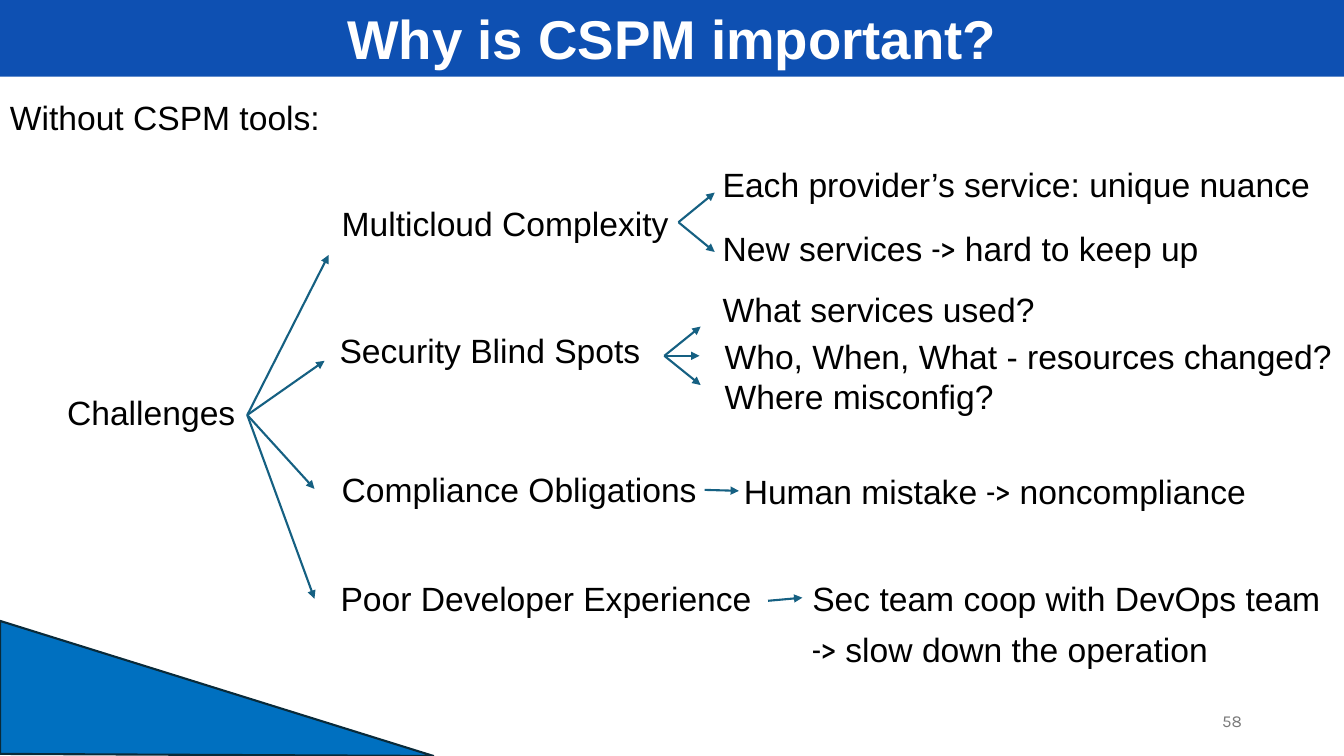
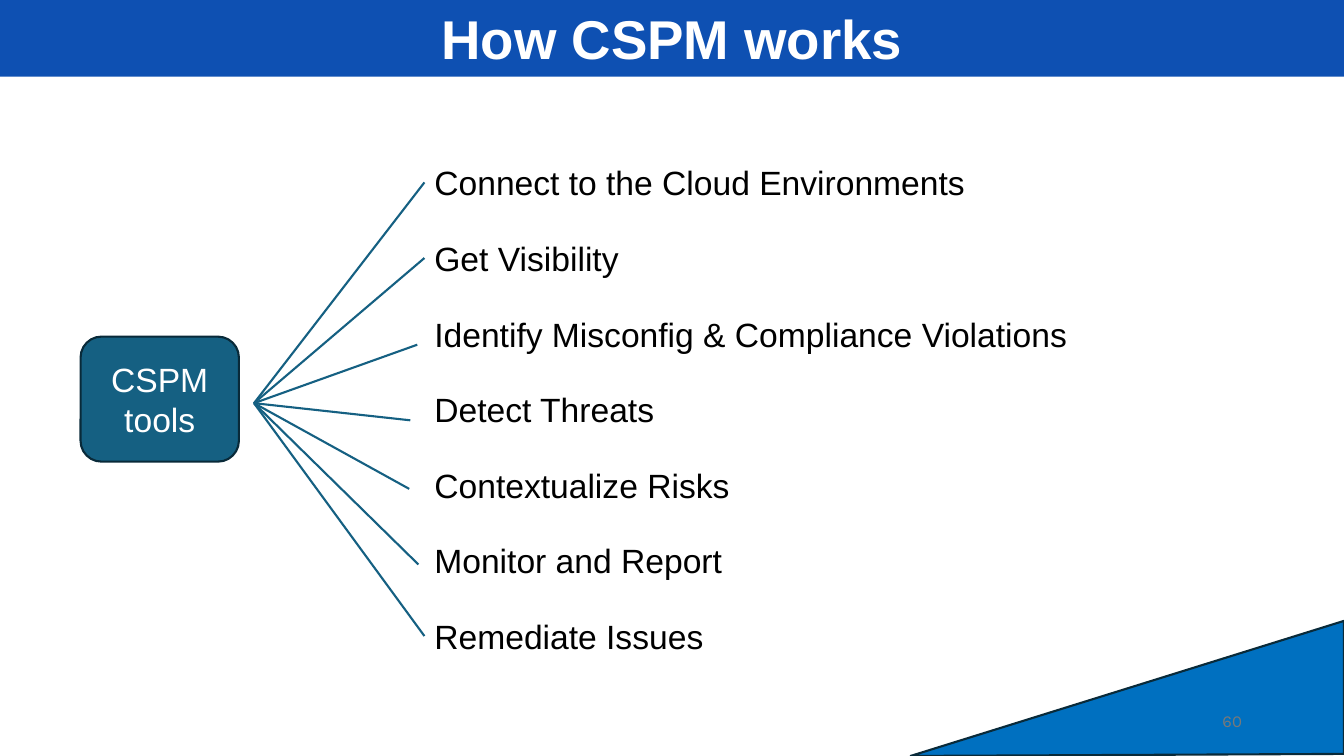
from itertools import cycle

from lxml.etree import SubElement
from pptx import Presentation
from pptx.dml.color import RGBColor
from pptx.enum.shapes import MSO_CONNECTOR, MSO_SHAPE
from pptx.enum.text import MSO_ANCHOR, PP_ALIGN
from pptx.oxml.ns import qn
from pptx.util import Inches, Pt

BAND_BLUE = RGBColor(0x0E, 0x50, 0xB2)
WEDGE_BLUE = RGBColor(0x00, 0x70, 0xC0)
TEAL = RGBColor(0x15, 0x60, 0x82)
DARK_TEAL = RGBColor(0x09, 0x2A, 0x39)
BLACK = RGBColor(0x00, 0x00, 0x00)
WHITE = RGBColor(0xFF, 0xFF, 0xFF)
GRAY = RGBColor(0x79, 0x79, 0x79)
ARROW_SIGN = "->"
LINE_WIDTH = Pt(1.5)
LABEL_HEIGHT = 6.67

deck = Presentation()
deck.slide_width = Inches(13.33)
deck.slide_height = Inches(7.5)
COLUMN = deck.slide_width / 100
ROW = deck.slide_height / 100


def grid(*shares):
    return [round(share * unit) for share, unit in zip(shares, cycle((COLUMN, ROW)))]


def write(box, runs, size=24, color=BLACK, align=PP_ALIGN.LEFT,
          anchor=MSO_ANCHOR.TOP, face="Arial", bold=False):
    frame = box.text_frame
    frame.word_wrap = True
    frame.vertical_anchor = anchor
    para = frame.paragraphs[0]
    para.alignment = align
    for text in runs:
        span = para.add_run()
        span.text = text
        span.font.name = "Roboto Condensed" if text == ARROW_SIGN else face
        span.font.size = Pt(size)
        span.font.bold = bold
        span.font.color.rgb = color


pages = []
for title, number, wedge_side, inward in (
    ("Why is CSPM important?", "58", 0, 1),
    ("How CSPM works", "60", 100, -1),
):
    page = deck.slides.add_slide(deck.slide_layouts[6])
    pages.append(page)

    band = page.shapes.add_shape(MSO_SHAPE.RECTANGLE, *grid(0, 0, 100, 10.13))
    band.shadow.inherit = False
    band.fill.solid()
    band.fill.fore_color.rgb = BAND_BLUE
    band.line.fill.background()
    write(band, [title], size=39, color=WHITE, align=PP_ALIGN.CENTER, bold=True)

    outline = page.shapes.build_freeform(*grid(wedge_side, 99.73))
    outline.add_line_segments([
        grid(wedge_side, 82.13),
        grid(wedge_side + inward * 32.25, 100),
    ])
    wedge = outline.convert_to_shape()
    wedge.shadow.inherit = False
    wedge.fill.solid()
    wedge.fill.fore_color.rgb = WEDGE_BLUE
    wedge.line.color.rgb = DARK_TEAL
    wedge.line.width = LINE_WIDTH

    number_box = page.shapes.add_textbox(*grid(70.65, 92.67, 22.5, 5.33))
    write(number_box, [number], size=12, color=GRAY, align=PP_ALIGN.RIGHT,
          anchor=MSO_ANCHOR.MIDDLE, face="Karla")

importance_page, workings_page = pages

labels = {}
for left, top, width, runs in (
    (0, 12.13, 50, ["Without CSPM tools:"]),
    (-0.6, 51.2, 23.7, ["Challenges"]),
    (24.68, 26.13, 30.08, ["Multicloud Complexity"]),
    (24.53, 42.93, 30.08, ["Security Blind Spots"]),
    (24.68, 61.33, 30.08, ["Compliance Obligations"]),
    (24.6, 75.73, 32.78, ["Poor Developer Experience"]),
    (53.03, 21.07, 47.78, ["Each provider’s service: unique nuance"]),
    (53.03, 29.47, 39.15, ["New services ", ARROW_SIGN, " hard to keep up"]),
    (53.03, 37.6, 33.53, ["What services used?"]),
    (53.18, 43.73, 47.78, ["Who, When, What - resources changed?"]),
    (53.18, 49.07, 21.68, ["Where misconfig?"]),
    (54.6, 61.6, 43.65, ["Human mistake ", ARROW_SIGN, " noncompliance"]),
    (59.7, 75.73, 40.3, ["Sec team coop with DevOps team"]),
    (59.7, 82.53, 40.3, [ARROW_SIGN, " slow down the operation"]),
):
    label = importance_page.shapes.add_textbox(*grid(left, top, width, LABEL_HEIGHT))
    align = PP_ALIGN.CENTER if runs == ["Challenges"] else PP_ALIGN.LEFT
    write(label, runs, align=align)
    labels[runs[0]] = label

tools = workings_page.shapes.add_shape(
    MSO_SHAPE.ROUNDED_RECTANGLE, *grid(6, 44.53, 11.78, 16.53))
tools.shadow.inherit = False
tools.fill.solid()
tools.fill.fore_color.rgb = TEAL
tools.line.color.rgb = DARK_TEAL
tools.line.width = LINE_WIDTH
write(tools, ["CSPM tools"], color=WHITE, align=PP_ALIGN.CENTER,
      anchor=MSO_ANCHOR.MIDDLE)

for index, step in enumerate((
    "Connect to the Cloud Environments",
    "Get Visibility",
    "Identify Misconfig & Compliance Violations",
    "Detect Threats",
    "Contextualize Risks",
    "Monitor and Report",
    "Remediate Issues",
)):
    label = workings_page.shapes.add_textbox(
        *grid(31.58, 20.8 + 10 * index, 50, LABEL_HEIGHT))
    write(label, [step])
    labels[step] = label

for page, has_arrowhead, hub, ends in (
    (importance_page, True, (18.4, 54.9),
     [(24.45, 33.73), (24.15, 47.73), (23.4, 64.67), (23.4, 79.2)]),
    (importance_page, True, (50.48, 29.4), [(53.18, 25.47), (53.18, 33.33)]),
    (importance_page, True, (49.43, 47.07),
     [(52.13, 43.2), (52.05, 47.07), (52.13, 50.93)]),
    (importance_page, True, (52.43, 64.8), [(54.98, 64.93)]),
    (importance_page, True, (57.15, 79.47), ["Sec team coop with DevOps team"]),
    (workings_page, False, (18.9, 53.33),
     ["Connect to the Cloud Environments", "Get Visibility", (31.05, 45.6),
      (30.53, 55.6), (30.45, 64.67), (31.13, 74.67), "Remediate Issues"]),
):
    for end in ends:
        joined = end in labels
        link = page.shapes.add_connector(
            MSO_CONNECTOR.STRAIGHT, *grid(*hub), *grid(*(hub if joined else end)))
        if joined:
            link.end_connect(labels[end], 1)
        link.line.color.rgb = TEAL
        link.line.width = LINE_WIDTH
        if has_arrowhead:
            SubElement(link.get_or_add_ln(), qn("a:tailEnd"), type="triangle")
        SubElement(link.element.spPr, qn("a:effectLst"))

deck.save("out.pptx")
